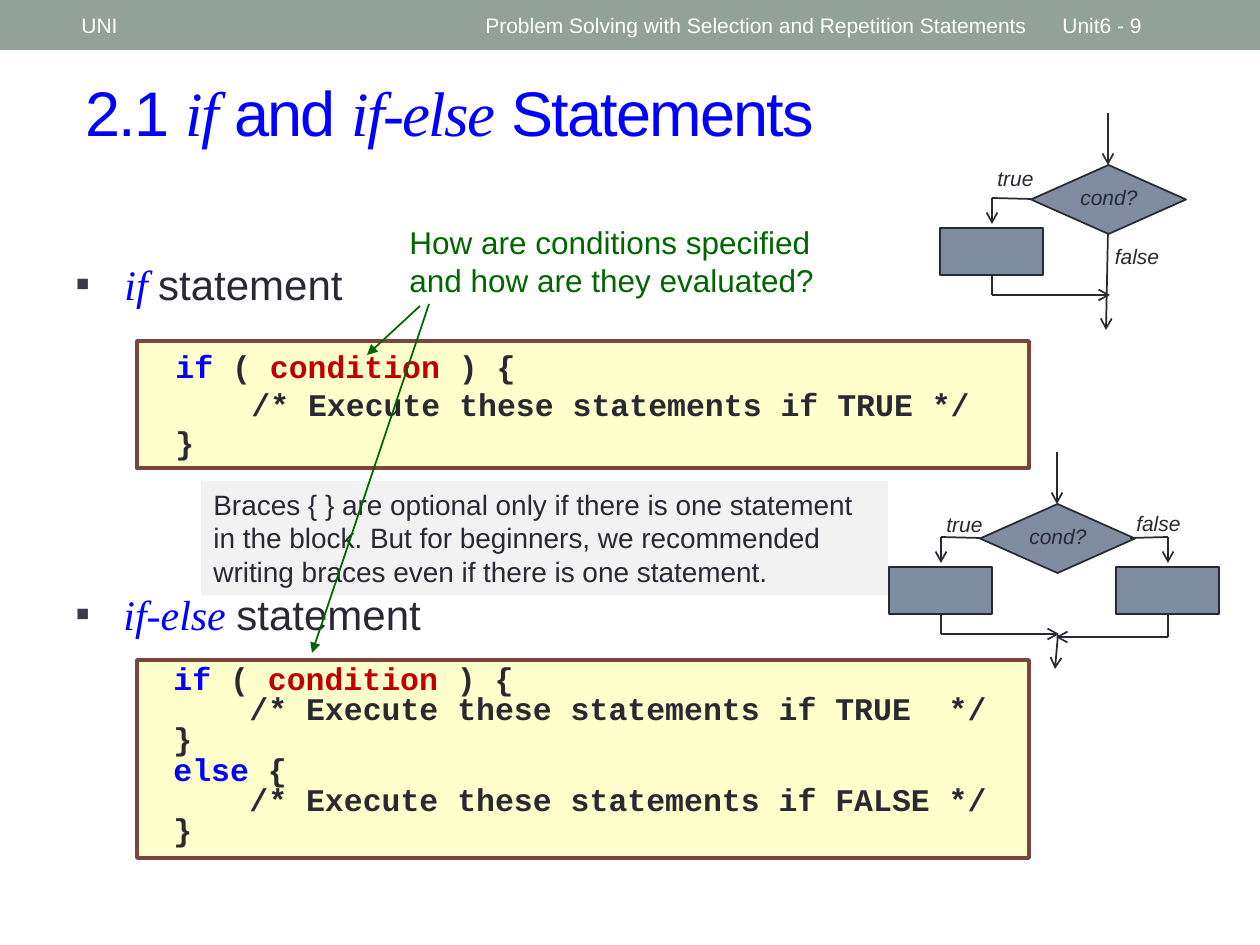
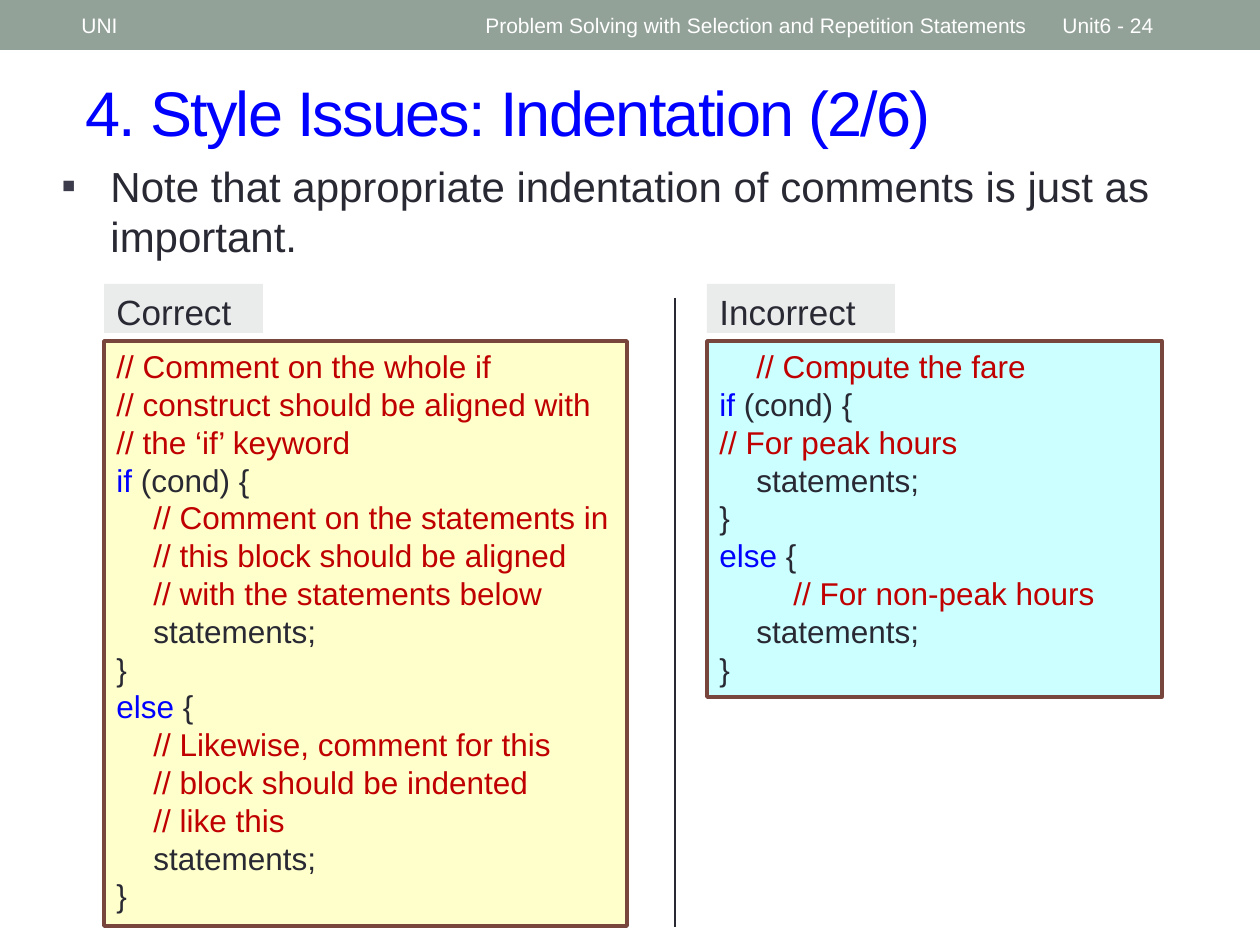
"""Builds two lecture slides on selection statements and comment indentation."""
from dataclasses import dataclass
from typing import Optional

import pptx
import pptx.dml.color
import pptx.enum.shapes
import pptx.enum.text
import pptx.oxml.ns
import pptx.util
from lxml import etree

PIXEL = 914400 / 126
INK, BLUE, RED, GREEN, WHITE = "292934", "0000FF", "C00000", "006600", "FFFFFF"
BAND, BULLET, STEEL, BROWN = "93A299", "3B3B4B", "808DA0", "79463D"
CREAM, CYAN, NOTE_GRAY, LABEL_GRAY = "FFFFCC", "CCFFFF", "F2F2F2", "E9ECEB"
SANS, SERIF, MONO = "Arial", "Times New Roman", "Courier New"
SHAPES = pptx.enum.shapes.MSO_SHAPE
ALIGN = pptx.enum.text.PP_ALIGN
ANCHOR = pptx.enum.text.MSO_ANCHOR


@dataclass(frozen=True)
class Span:
    """A piece of text in one format."""
    text: str
    color: str = INK
    font: str = SANS
    size: float = 18
    bold: bool = False
    italic: bool = False
    spacing: int = 0


@dataclass(frozen=True)
class Line:
    """A paragraph made of spans, with its indent level."""
    spans: tuple
    level: int = 0


@dataclass(frozen=True)
class Area:
    """A rectangle in pixels."""
    left: int
    top: int
    width: int
    height: int


@dataclass(frozen=True)
class Flow:
    """A flowchart placed by the top corner of its diamond."""
    x: int
    y: int
    true_top: int
    false_label: Area
    exit_x: int
    exit_y: int
    has_else: bool


def px(value: float) -> int:
    """Turn pixels into EMU."""
    return round(value * PIXEL)


def rgb(color: str) -> pptx.dml.color.RGBColor:
    """Turn a hex string into a colour."""
    return pptx.dml.color.RGBColor.from_string(color)


def add_xml(parent, tag: str, **attributes: str):
    """Append a drawing element to its parent."""
    return etree.SubElement(parent, pptx.oxml.ns.qn(tag), attributes)


def line_of(text: str, level: int = 0, **style) -> Line:
    """Make a line with a single span."""
    return Line((Span(text, **style),), level)


def write(box, lines: list, align=ALIGN.LEFT, anchor=ANCHOR.TOP, margin: int = 0,
          step: int = 0, bullet: bool = False, spacing: Optional[float] = None) -> None:
    """Fill a box with formatted lines."""
    frame = box.text_frame
    frame.word_wrap = True
    frame.vertical_anchor = anchor
    for index, line in enumerate(lines):
        para = frame.paragraphs[0] if index == 0 else frame.add_paragraph()
        para.alignment = align
        if spacing:
            para.line_spacing = spacing
        properties = para._p.get_or_add_pPr()
        properties.set("marL", str(px(margin + step * line.level)))
        properties.set("indent", str(px(-margin if bullet else 0)))
        if bullet:
            add_xml(add_xml(properties, "a:buClr"), "a:srgbClr", val=BULLET)
            add_xml(properties, "a:buFont", typeface=SANS)
            add_xml(properties, "a:buChar", char="▪")
        for span in line.spans:
            run = para.add_run()
            run.text = span.text
            font = run.font
            font.name, font.size = span.font, pptx.util.Pt(span.size)
            font.bold, font.italic = span.bold, span.italic
            font.color.rgb = rgb(span.color)
            if span.spacing:
                run._r.get_or_add_rPr().set("spc", str(span.spacing * 100))


def add_text(page, area: Area, lines: list, **layout) -> None:
    """Add a text box."""
    box = page.shapes.add_textbox(px(area.left), px(area.top), px(area.width), px(area.height))
    write(box, lines, **layout)


def add_block(page, area: Area, fill: str, kind=SHAPES.RECTANGLE, line: Optional[str] = None,
              weight: float = 1, lines: Optional[list] = None, **layout) -> None:
    """Add a filled shape, with text if given."""
    box = page.shapes.add_shape(kind, px(area.left), px(area.top), px(area.width), px(area.height))
    box.shadow.inherit = False
    box.fill.solid()
    box.fill.fore_color.rgb = rgb(fill)
    if line:
        box.line.color.rgb = rgb(line)
        box.line.width = pptx.util.Pt(weight)
    else:
        box.line.fill.background()
    if lines:
        write(box, lines, **layout)


def add_line(page, start: tuple, end: tuple, head: Optional[str] = None,
             color: str = INK, weight: float = 1) -> None:
    """Add a straight line, with an arrowhead at its end if named."""
    line = page.shapes.add_connector(pptx.enum.shapes.MSO_CONNECTOR.STRAIGHT,
                                     *(px(value) for value in start + end))
    line.line.color.rgb = rgb(color)
    line.line.width = pptx.util.Pt(weight)
    properties = line.element.spPr
    if head:
        add_xml(properties.find(pptx.oxml.ns.qn("a:ln")), "a:tailEnd", type=head)
    add_xml(properties, "a:effectLst")


def add_page(deck, number: int, title: tuple):
    """Add a slide with its header band and title."""
    page = deck.slides.add_slide(deck.slide_layouts[6])
    add_block(page, Area(0, 0, 1260, 50), BAND)
    add_text(page, Area(73, 53, 1155, 116), [Line(title)], anchor=ANCHOR.MIDDLE)
    header = ((69, 394, "UNI"),
              (473, 577, "Problem Solving with Selection and Repetition Statements"),
              (1050, 147, f"Unit6 - {number}"))
    for left, width, text in header:
        add_text(page, Area(left, 3, width, 45), [line_of(text, color=WHITE, size=12)],
                 anchor=ANCHOR.MIDDLE)
    return page


def title_span(text: str, font: str = SANS) -> Span:
    """Make a title span; serif ones are italic."""
    return Span(text, BLUE, font, 36, italic=font == SERIF, spacing=-1)


def add_flow(page, flow: Flow) -> None:
    """Draw a flowchart of one condition."""
    def at(x: int, y: int) -> tuple:
        return flow.x + x, flow.y + y

    def label(text: str, area: Area) -> None:
        add_text(page, Area(*at(area.left, area.top), area.width, area.height),
                 [line_of(text, size=12, italic=True)], align=ALIGN.CENTER)

    def branch(corner: int, leg: int, merge_x: int, merge_y: int) -> None:
        add_line(page, at(corner, 34), at(leg, 33))
        add_line(page, at(leg, 33), at(leg, 59), "arrow")
        add_block(page, Area(*at(leg - 52, 63), 103, 47), STEEL,
                  SHAPES.FLOWCHART_PROCESS, INK)
        add_line(page, at(leg, 110), at(leg, merge_y))
        add_line(page, at(leg, merge_y), at(merge_x, merge_y), "arrow")

    add_block(page, Area(*at(-77, 0), 155, 69), STEEL, SHAPES.FLOWCHART_DECISION, INK)
    add_line(page, at(0, -52), at(0, 0), "arrow")
    label("cond?", Area(-48, 13, 98, 38))
    label("true", Area(-131, flow.true_top, 77, 38))
    label("false", flow.false_label)
    branch(-77, -116, 2, 130)
    if flow.has_else:
        branch(73, 111, -1, 133)
    add_line(page, at(flow.exit_x, flow.exit_y), at(-2, 165), "arrow")


def mono(text: str, color: str = INK) -> Span:
    """Make a bold code span."""
    return Span(text, color, MONO, bold=True)


def add_statements_page(deck) -> None:
    """Build the slide on if and if-else."""
    page = add_page(deck, 9, (title_span("2.1 "), title_span("if", SERIF), title_span(" and "),
                              title_span("if-else", SERIF), title_span(" Statements")))
    for keyword, top, margin in (("if ", 252, 49), ("if-else ", 582, 48)):
        add_text(page, Area(63, top, 1134, 70),
                 [Line((Span(keyword, BLUE, SERIF, 24, italic=True),
                        Span("statement", size=24)))], margin=margin, bullet=True)
    add_text(page, Area(397, 217, 473, 89),
             [line_of("How are conditions specified and how are they evaluated?", color=GREEN)])

    opening = Line((mono("if", BLUE), mono(" ( "), mono("condition", RED), mono(" ) {")))
    closing = Line((mono("}"),))
    short = [opening, Line((mono("/* Execute these statements if TRUE */"),), 1), closing]
    full = [opening, Line((mono("/* Execute these statements if TRUE  */"),), 1), closing,
            Line((mono("else", BLUE), mono(" {"))),
            Line((mono("/* Execute these statements if FALSE */"),), 1), closing]
    for top, height, lines, margin, spacing in ((341, 127, short, 26, None),
                                                (660, 198, full, 24, 0.8)):
        add_block(page, Area(137, top, 892, height), CREAM, line=BROWN, weight=2.08,
                  lines=lines, margin=margin, step=76, spacing=spacing)

    add_line(page, (420, 306), (367, 355), "triangle", GREEN)
    add_flow(page, Flow(1108, 165, -6, Area(-12, 72, 82, 38), 0, 68, False))
    add_flow(page, Flow(1057, 504, 1, Area(58, 0, 87, 38), 1, 131, True))
    add_block(page, Area(201, 481, 687, 114), NOTE_GRAY, lines=[line_of(
        "Braces { } are optional only if there is one statement in the block. But for "
        "beginners, we recommended writing braces even if there is one statement.", size=16)])
    add_line(page, (429, 304), (312, 653), "triangle", GREEN)


def comment(text: str, level: int = 0) -> Line:
    """Make a comment line."""
    return line_of(f"// {text}", level, color=RED)


def add_indentation_page(deck) -> None:
    """Build the slide on the indentation of comments."""
    page = add_page(deck, 24, (title_span("4. Style Issues: Indentation (2/6)"),))
    add_text(page, Area(49, 154, 1189, 136), [line_of(
        "Note that appropriate indentation of comments is just as important.", size=24)],
        margin=49, bullet=True)
    add_line(page, (675, 298), (675, 927), weight=1.5)

    if_line = Line((Span("if", BLUE), Span(" (cond) {")))
    else_line = Line((Span("else", BLUE), Span(" {")))
    ending = [line_of("statements;", 1), line_of("}")]
    correct = [comment("Comment on the whole if"),
               comment("construct should be aligned with"),
               comment("the ‘if’ keyword"), if_line,
               comment("Comment on the statements in", 1),
               comment("this block should be aligned", 1),
               comment("with the statements below", 1), *ending, else_line,
               comment("Likewise, comment for this", 1),
               comment("block should be indented", 1),
               comment("like this", 1), *ending]
    incorrect = [comment("Compute the fare", 1), if_line, comment("For peak hours"), *ending,
                 else_line, comment("For non-peak hours", 2), *ending]
    columns = (("Correct", 104, 159, 523, 585, CREAM, correct),
               ("Incorrect", 707, 188, 455, 356, CYAN, incorrect))
    for name, left, label_width, width, height, fill, lines in columns:
        add_block(page, Area(left, 284, label_width, 49), LABEL_GRAY,
                  lines=[line_of(name, size=20)])
        add_block(page, Area(left, 341, width, height), fill, line=BROWN, weight=2.08,
                  lines=lines, step=37)


def main() -> None:
    """Build and save the deck."""
    deck = pptx.Presentation()
    deck.slide_width, deck.slide_height = px(1260), px(945)
    add_statements_page(deck)
    add_indentation_page(deck)
    deck.save("out.pptx")


main()
